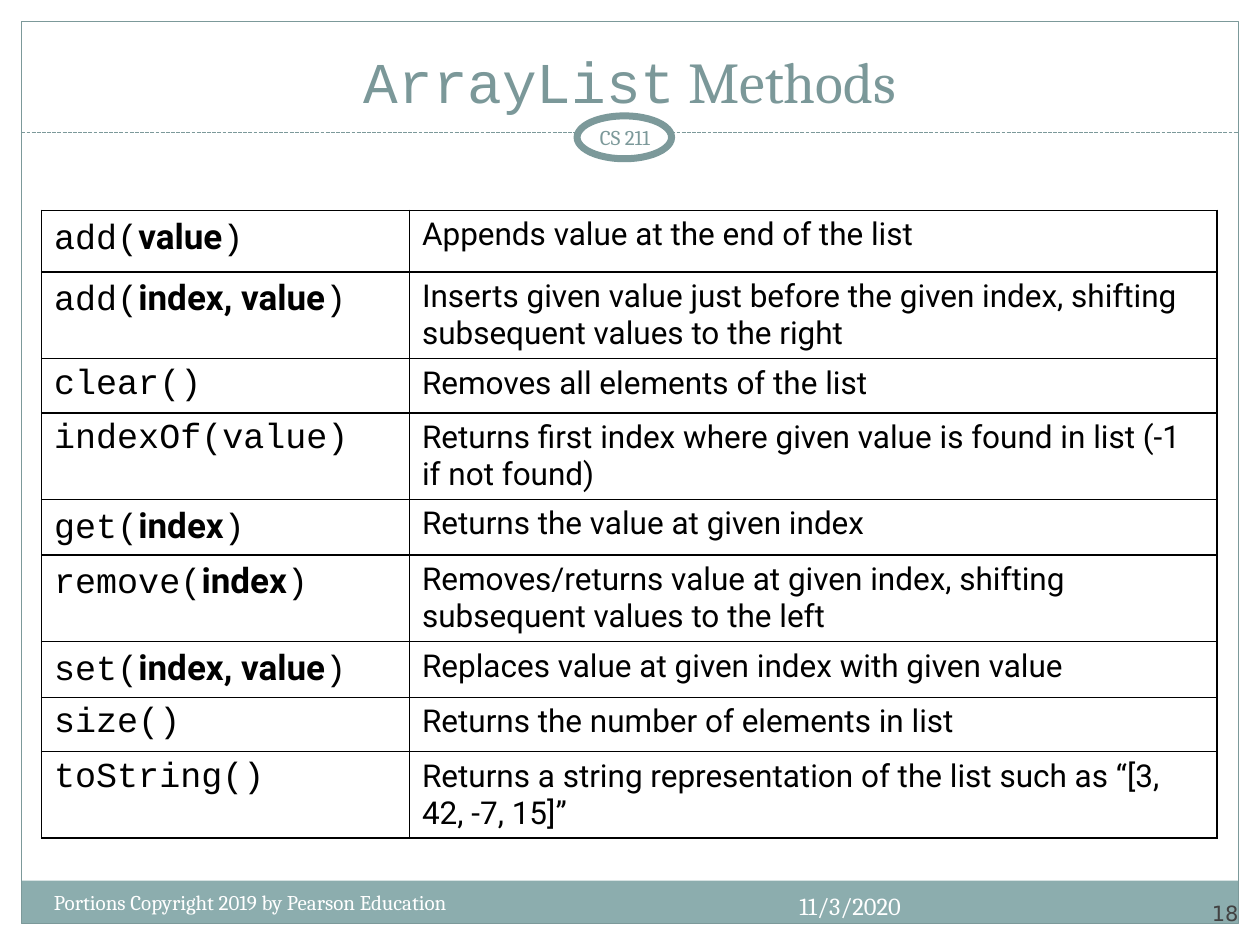
import pptx
import pptx.util
import pptx.dml.color
import pptx.enum.dml
import pptx.enum.shapes
import pptx.enum.text
from lxml import etree

RGB = pptx.dml.color.RGBColor
TEAL = RGB(0x7C, 0x99, 0x9A)
TITLE_TEAL = RGB(0x7B, 0x98, 0x99)
BAND = RGB(0x8C, 0xAD, 0xAE)
WHITE = RGB(0xFF, 0xFF, 0xFF)
BLACK = RGB(0, 0, 0)
GRAY = RGB(0x42, 0x42, 0x42)
CODE, BODY, SERIF = "Courier New", "Roboto", "Cambria"
A = "http://schemas.openxmlformats.org/drawingml/2006/main"
W, H = 10, 7.5
EDGE, MARGIN = 0.17, 0.33
RULE_Y = 1.05
ALIGN = pptx.enum.text.PP_ALIGN
ANCHOR = pptx.enum.text.MSO_ANCHOR
SHAPE = pptx.enum.shapes.MSO_SHAPE

METHODS = [
    ("add", "value", True, "Appends value at the end of the list"),
    ("add", "index, value", True,
     "Inserts given value just before the given index, shifting subsequent values to the right"),
    ("clear", "", False, "Removes all elements of the list"),
    ("indexOf", "value", False,
     "Returns first index where given value is found in list (-1 if not found)"),
    ("get", "index", True, "Returns the value at given index"),
    ("remove", "index", True,
     "Removes/returns value at given index, shifting subsequent values to the left"),
    ("set", "index, value", True, "Replaces value at given index with given value"),
    ("size", "", False, "Returns the number of elements in list"),
    ("toString", "", False,
     "Returns a string representation of the list such as “[3, 42, -7, 15]”"),
]


def inches(*values):
    return [pptx.util.Inches(v) for v in values]


def add_run(p, text, font=BODY, size=18, color=BLACK, bold=False):
    r = p.add_run()
    r.text = text
    r.font.name = font
    r.font.size = pptx.util.Pt(size)
    r.font.color.rgb = color
    r.font.bold = bold


def add_shape(s, kind, box, fill=None, line=None, width=0.75):
    sp = s.shapes.add_shape(kind, *inches(*box))
    sp.shadow.inherit = False
    if fill is None:
        sp.fill.background()
    else:
        sp.fill.solid()
        sp.fill.fore_color.rgb = fill
    if line is None:
        sp.line.fill.background()
    else:
        sp.line.color.rgb = line
        sp.line.width = pptx.util.Pt(width)


def add_label(s, box, text, align=ALIGN.LEFT, anchor=ANCHOR.TOP, inset=None, **fmt):
    tf = s.shapes.add_textbox(*inches(*box)).text_frame
    tf.word_wrap = True
    tf.vertical_anchor = anchor
    if inset is not None:
        tf.margin_left, tf.margin_top, tf.margin_right, tf.margin_bottom = inches(*[inset] * 4)
    p = tf.paragraphs[0]
    p.alignment = align
    add_run(p, text, **fmt)


def add_rule(s):
    line = s.shapes.add_connector(
        pptx.enum.shapes.MSO_CONNECTOR.STRAIGHT, *inches(EDGE, RULE_Y, W - EDGE, RULE_Y))
    line.line.color.rgb = TEAL
    line.line.width = pptx.util.Pt(0.75)
    line.line.dash_style = pptx.enum.dml.MSO_LINE.SQUARE_DOT
    etree.SubElement(line.element.spPr, f"{{{A}}}effectLst")


def set_title(s):
    title = s.shapes.title
    title.left, title.top, title.width, title.height = inches(MARGIN, 0.25, W - 2 * MARGIN, 0.71)
    tf = title.text_frame
    tf.word_wrap = True
    tf.auto_size = pptx.enum.text.MSO_AUTO_SIZE.NONE
    tf.vertical_anchor = ANCHOR.BOTTOM
    p = tf.paragraphs[0]
    p.alignment = ALIGN.CENTER
    add_run(p, "ArrayList", font=CODE, size=33, color=TITLE_TEAL)
    add_run(p, " Methods", font=SERIF, size=33, color=TITLE_TEAL)


def format_cell(cell):
    tcPr = cell._tc.get_or_add_tcPr()
    for side in ("lnL", "lnR", "lnT", "lnB"):
        ln = etree.SubElement(tcPr, f"{{{A}}}{side}", w=str(pptx.util.Pt(1)))
        fill = etree.SubElement(ln, f"{{{A}}}solidFill")
        etree.SubElement(fill, f"{{{A}}}srgbClr", val=str(BLACK))
    cell.fill.background()


def add_methods_table(s):
    first_row, other_row = 0.49, 0.43
    height = first_row + other_row * (len(METHODS) - 1)
    table = s.shapes.add_table(
        len(METHODS), 2, *inches(MARGIN, 1.67, W - 2 * MARGIN, height)).table
    table.first_row = table.horz_banding = False
    table.columns[0].width, table.columns[1].width = inches(2.92, 6.41)
    for i, (name, args, bold, description) in enumerate(METHODS):
        row = table.rows[i]
        row.height = pptx.util.Inches(other_row if i else first_row)
        for cell in row.cells:
            format_cell(cell)
        p = row.cells[0].text_frame.paragraphs[0]
        if bold:
            add_run(p, f"{name}(", font=CODE, size=20)
            add_run(p, args, size=20, bold=True)
            add_run(p, ")", font=CODE, size=20)
        else:
            add_run(p, f"{name}({args})", font=CODE, size=20)
        add_run(row.cells[1].text_frame.paragraphs[0], description)


def main():
    prs = pptx.Presentation()
    prs.slide_width, prs.slide_height = inches(W, H)
    s = prs.slides.add_slide(prs.slide_layouts[5])
    inner = W - 2 * EDGE
    add_shape(s, SHAPE.RECTANGLE, (EDGE, 6.99, inner, 0.34), fill=BAND)
    add_shape(s, SHAPE.RECTANGLE, (EDGE, EDGE, inner, H - 2 * EDGE), line=TEAL)
    add_rule(s)
    add_shape(s, SHAPE.OVAL, (4.58, 0.92, 0.75, 0.34), fill=WHITE, line=TEAL, width=4)
    set_title(s)
    add_methods_table(s)
    add_label(s, (9, 6.95, 0.83, 0.4), "18", align=ALIGN.RIGHT, anchor=ANCHOR.BOTTOM,
              inset=0, font="DejaVu Sans", size=12, color=GRAY)
    add_label(s, (5.59, 7.02, 1.66, 0.4), "11/3/2020", align=ALIGN.RIGHT,
              font=SERIF, size=14, color=WHITE)
    add_label(s, (MARGIN, 7.01, 4.08, 0.4), "Portions Copyright 2019 by Pearson Education",
              font=SERIF, size=12, color=WHITE)
    add_label(s, (4.5, 0.92, 0.92, 0.33), "CS 211", align=ALIGN.CENTER, anchor=ANCHOR.MIDDLE,
              inset=0.05, font=SERIF, size=12, color=TEAL)
    prs.save("out.pptx")


if __name__ == "__main__":
    main()
